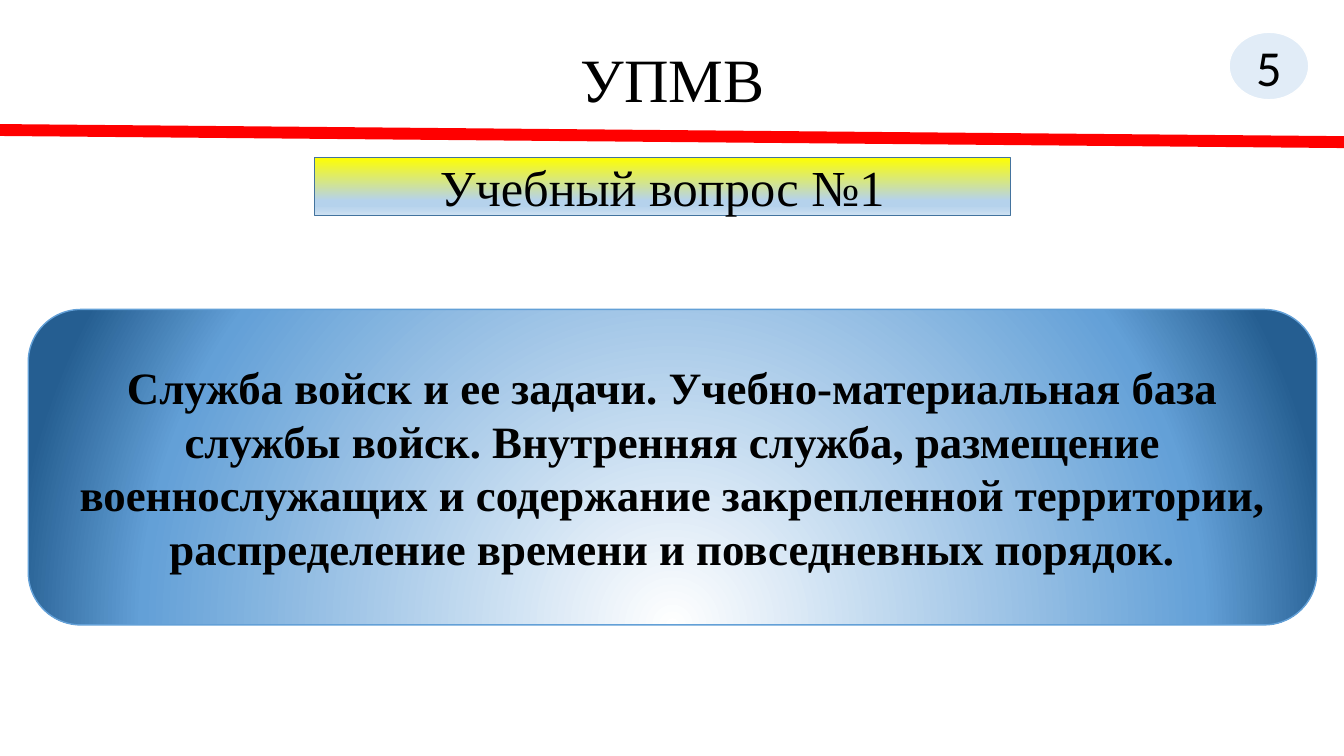
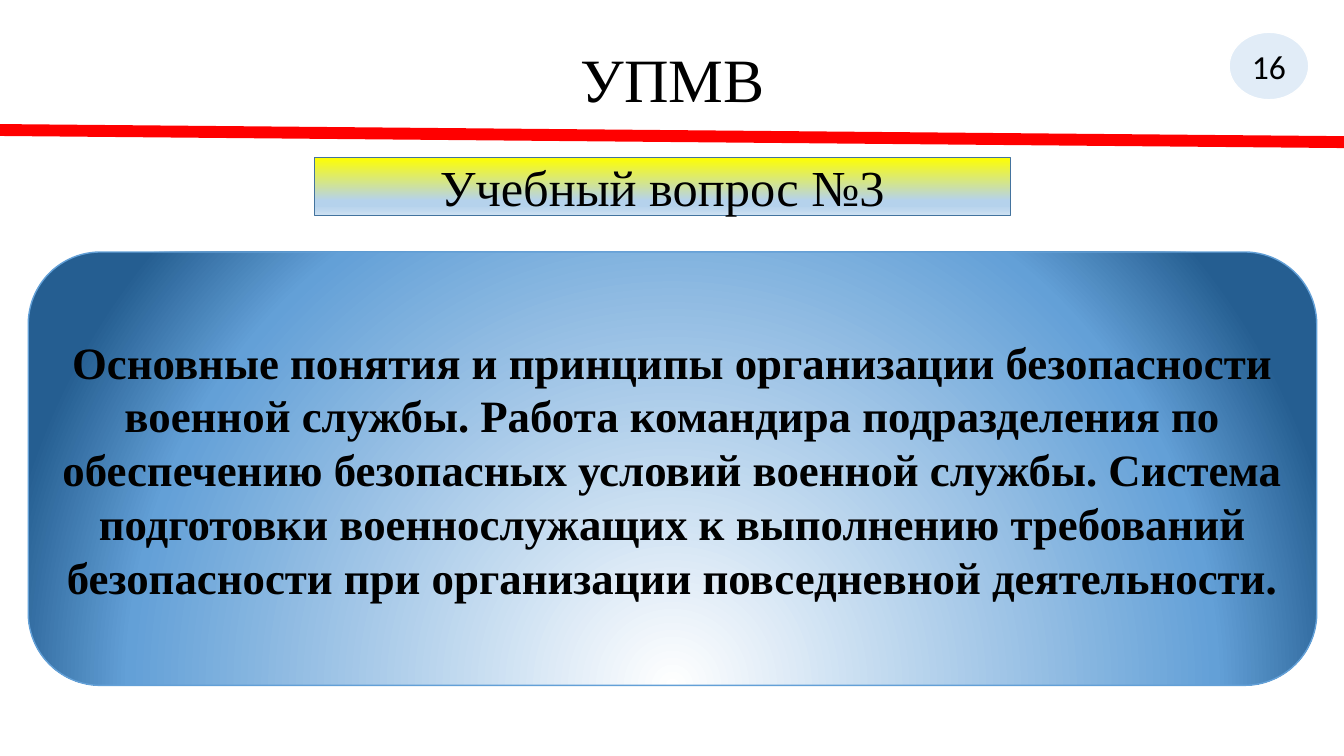
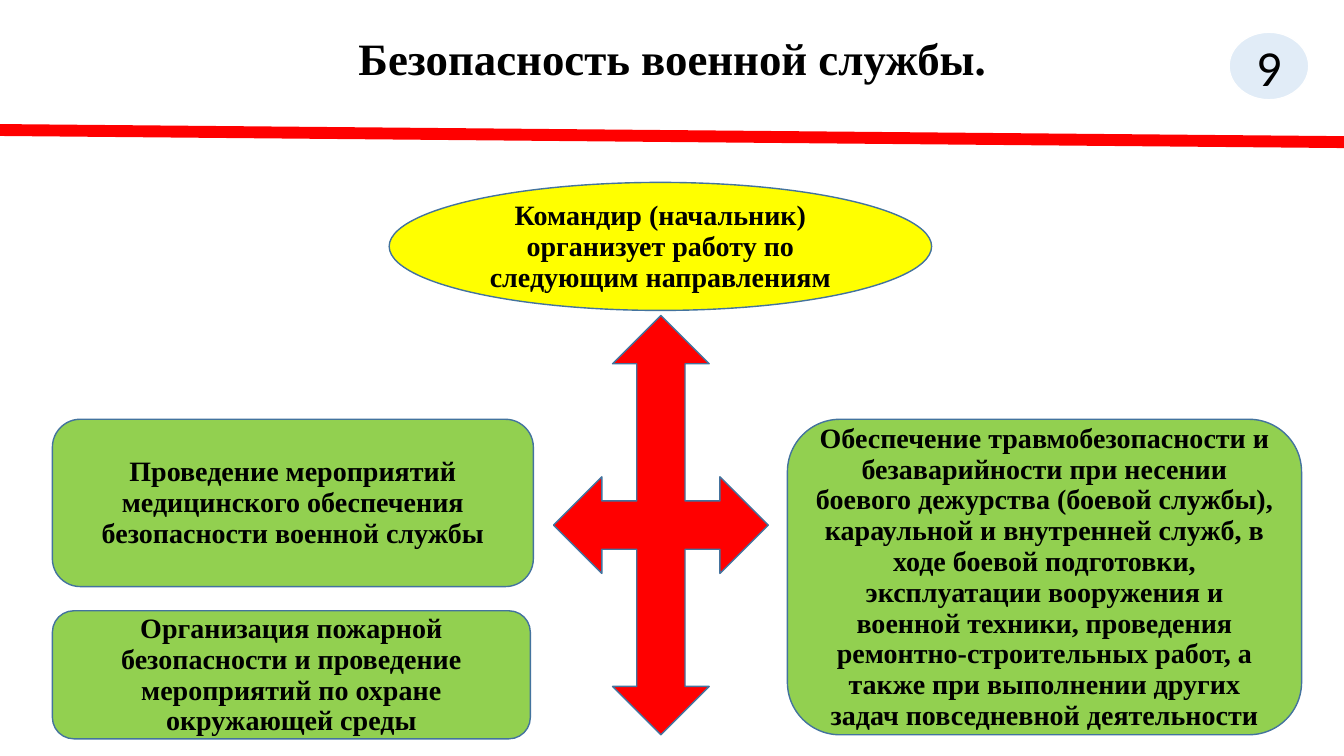
"""Builds three slides on the internal service and safety of troops."""
from pptx import Presentation
from pptx import util as u
from pptx.dml.color import RGBColor
from pptx.enum import shapes, text
from pptx.oxml import parse_xml
from pptx.oxml.ns import nsdecls, qn

WIDTH, HEIGHT = 13.33, 7.5
SERIF, SANS = "Times New Roman", "Calibri"
BLACK = RGBColor(0x00, 0x00, 0x00)
WHITE = RGBColor(0xFF, 0xFF, 0xFF)
RED = RGBColor(0xFF, 0x00, 0x00)
YELLOW = RGBColor(0xFF, 0xFF, 0x00)
GREEN = RGBColor(0x92, 0xD0, 0x50)
BLUE = RGBColor(0x5B, 0x9B, 0xD5)
PALE = RGBColor(0xB5, 0xD2, 0xEC)
PALEST = RGBColor(0xCE, 0xE1, 0xF2)
SKY = RGBColor(0x63, 0xA0, 0xD7)
NAVY = RGBColor(0x25, 0x5E, 0x91)
OUTLINE = RGBColor(0x43, 0x73, 0x9E)

BANNER_STOPS = [(0, YELLOW), (74, PALE), (83, PALE), (100, PALEST)]
BANNER_SHADE = '<a:lin ang="5400000" scaled="0"/>'
PANEL_STOPS = [(0, WHITE), (80, SKY), (100, NAVY)]
PANEL_SHADE = ('<a:path path="circle"><a:fillToRect l="50000" t="130000" '
               'r="50000" b="-30000"/></a:path>')

OVAL = shapes.MSO_SHAPE.OVAL
RECTANGLE = shapes.MSO_SHAPE.RECTANGLE
ROUNDED = shapes.MSO_SHAPE.ROUNDED_RECTANGLE
CROSS = shapes.MSO_SHAPE.QUAD_ARROW

QUESTIONS = [
    {"page": "5", "page_size": 36, "banner": "Учебный вопрос №1", "top": 3.07, "height": 3.13,
     "topic": "Служба войск и ее задачи. Учебно-материальная база службы войск. "
              "Внутренняя служба, размещение военнослужащих и содержание закрепленной "
              "территории, распределение времени и повседневных порядок."},
    {"page": "16", "page_size": 24, "banner": "Учебный вопрос №3", "top": 2.5, "height": 4.3,
     "topic": "Основные понятия и принципы организации безопасности военной службы. "
              "Работа командира подразделения по обеспечению безопасных условий военной "
              "службы. Система подготовки военнослужащих к выполнению требований "
              "безопасности при организации повседневной деятельности."},
]

DIRECTIONS = [
    (OVAL, (3.86, 1.81, 5.38, 1.27), YELLOW,
     "Командир (начальник) организует работу по следующим направлениям"),
    (CROSS, (5.49, 3.13, 2.13, 4.16), RED, ""),
    (ROUNDED, (0.52, 4.16, 4.77, 1.66), GREEN,
     "Проведение мероприятий медицинского обеспечения безопасности военной службы"),
    (ROUNDED, (7.81, 4.16, 5.1, 3.13), GREEN,
     "Обеспечение травмобезопасности и безаварийности при несении боевого дежурства "
     "(боевой службы), караульной и внутренней служб, в ходе боевой подготовки, "
     "эксплуатации вооружения и военной техники, проведения ремонтно-строительных "
     "работ, а также при выполнении других задач повседневной деятельности"),
    (ROUNDED, (0.52, 6.06, 4.74, 1.27), GREEN,
     "Организация пожарной безопасности и проведение мероприятий по охране "
     "окружающей среды"),
]


def write(box, words, size, font=SERIF, bold=False, spacing=None,
          anchor=text.MSO_ANCHOR.MIDDLE):
    frame = box.text_frame
    frame.word_wrap = True
    frame.auto_size = text.MSO_AUTO_SIZE.NONE
    frame.vertical_anchor = anchor
    para = frame.paragraphs[0]
    para.text = words
    para.alignment = text.PP_ALIGN.CENTER
    if spacing:
        para.line_spacing = spacing
    para.font.name, para.font.size, para.font.bold = font, u.Pt(size), bold
    para.font.color.rgb = BLACK


def add_box(page, kind, place, fill, line=OUTLINE):
    box = page.shapes.add_shape(kind, *map(u.Inches, place))
    box.shadow.inherit = False
    box.fill.solid()
    box.fill.fore_color.rgb = fill
    box.line.color.rgb = line
    box.line.width = u.Pt(1)
    return box


def shade(box, stops, direction):
    marks = "".join(f'<a:gs pos="{share * 1000}"><a:srgbClr val="{color}"/></a:gs>'
                    for share, color in stops)
    gradient = parse_xml(f'<a:gradFill {nsdecls("a")} rotWithShape="1">'
                         f'<a:gsLst>{marks}</a:gsLst>{direction}</a:gradFill>')
    properties = box.element.spPr
    properties.replace(properties.find(qn("a:solidFill")), gradient)


def add_page(deck, title, place, size, bold, anchor, number, number_size):
    page = deck.slides.add_slide(deck.slide_layouts[5])
    heading = page.shapes.title
    heading.left, heading.top, heading.width, heading.height = map(u.Inches, place)
    write(heading, title, size, bold=bold, spacing=0.9, anchor=anchor)

    rule = page.shapes.add_connector(shapes.MSO_CONNECTOR.STRAIGHT, 0, u.Inches(1.29),
                                     u.Inches(WIDTH), u.Inches(1.41))
    rule.line.color.rgb = RED
    rule.line.width = u.Pt(8.5)
    rule.element.spPr.append(parse_xml(f'<a:effectLst {nsdecls("a")}/>'))

    badge = add_box(page, OVAL, (12.19, 0.32, 0.79, 0.67), BLUE, WHITE)
    tint = badge.element.spPr.find(qn("a:solidFill"))[0]
    tint.append(parse_xml(f'<a:alpha {nsdecls("a")} val="18000"/>'))
    write(badge, number, number_size, SANS)
    return page


def add_question(deck, question):
    page = add_page(deck, "УПМВ", (0.92, 0.4, 11.5, 1.45), 44, False,
                    text.MSO_ANCHOR.TOP, question["page"], question["page_size"])
    page.shapes.title.text_frame.margin_top = u.Inches(0.09)
    banner = add_box(page, RECTANGLE, (3.12, 1.56, 6.9, 0.58), YELLOW)
    shade(banner, BANNER_STOPS, BANNER_SHADE)
    write(banner, question["banner"], 36)
    panel = add_box(page, ROUNDED, (0.28, question["top"], 12.78, question["height"]),
                    SKY, SKY)
    shade(panel, PANEL_STOPS, PANEL_SHADE)
    write(panel, question["topic"], 32, bold=True)


def add_safety(deck):
    page = add_page(deck, "Безопасность военной службы.", (0.92, 0, 11.5, 1.21), 32, True,
                    text.MSO_ANCHOR.MIDDLE, "9", 36)
    for kind, place, fill, words in DIRECTIONS:
        box = add_box(page, kind, place, fill)
        if words:
            write(box, words, 20, bold=True, spacing=u.Pt(22))


def main():
    deck = Presentation()
    deck.slide_width, deck.slide_height = u.Inches(WIDTH), u.Inches(HEIGHT)
    for question in QUESTIONS:
        add_question(deck, question)
    add_safety(deck)
    deck.save("out.pptx")


if __name__ == "__main__":
    main()
